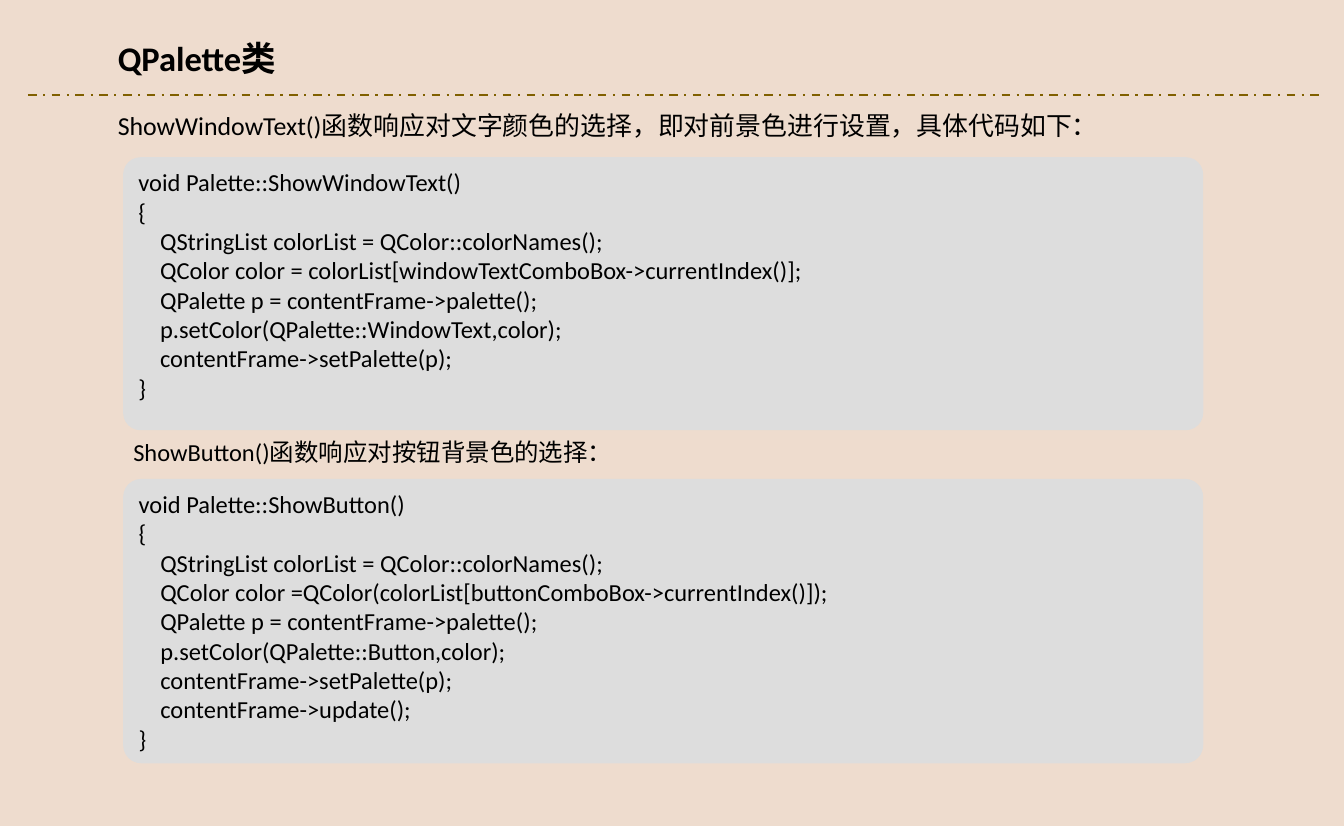
from dataclasses import dataclass

from lxml import etree
from pptx import Presentation
from pptx.dml.color import RGBColor
from pptx.enum.dml import MSO_LINE
from pptx.enum.shapes import MSO_CONNECTOR, MSO_SHAPE
from pptx.enum.text import MSO_ANCHOR, PP_ALIGN
from pptx.oxml.ns import qn
from pptx.slide import Slide
from pptx.text.text import TextFrame
from pptx.util import Inches, Pt

ROUNDED = MSO_SHAPE.ROUNDED_RECTANGLE
STRAIGHT = MSO_CONNECTOR.STRAIGHT
DASH_DOT = MSO_LINE.DASH_DOT
TOP = MSO_ANCHOR.TOP
LEFT = PP_ALIGN.LEFT

FONT = "Calibri"
BLACK = RGBColor(0x00, 0x00, 0x00)
SAND = RGBColor(0xEE, 0xDC, 0xCE)
PANEL_GREY = RGBColor(0xDD, 0xDD, 0xDD)
OLIVE = RGBColor(0x80, 0x60, 0x00)

SLIDE_WIDTH = 12.99
SLIDE_HEIGHT = 575 / 72  # 575 points

CODE_LEFT, CODE_WIDTH = 1.19, 10.44
CODE_INDENT = 0.21
CODE_SIZE = 17
CORNER = 0.064


@dataclass(frozen=True)
class Caption:
    text: str
    left: float
    top: float
    width: float
    height: float
    size: int
    bold: bool = False


@dataclass(frozen=True)
class Function:
    top: float
    height: float
    signature: str
    body: tuple[str, ...]


CAPTIONS = (
    Caption("QPalette类", 1.04, 0.31, 4.64, 0.5, 24, True),
    Caption("ShowWindowText()函数响应对文字颜色的选择，即对前景色进行设置，具体代码如下：",
            1.04, 1.01, 10.86, 0.4, 18),
    Caption("ShowButton()函数响应对按钮背景色的选择：", 1.19, 4.18, 4.87, 0.39, 17),
)

FUNCTIONS = (
    Function(1.52, 2.64, "void Palette::ShowWindowText()", (
        "QStringList colorList = QColor::colorNames();",
        "QColor color = colorList[windowTextComboBox->currentIndex()];",
        "QPalette p = contentFrame->palette();",
        "p.setColor(QPalette::WindowText,color);",
        "contentFrame->setPalette(p);",
    )),
    Function(4.63, 2.75, "void Palette::ShowButton()", (
        "QStringList colorList = QColor::colorNames();",
        "QColor color =QColor(colorList[buttonComboBox->currentIndex()]);",
        "QPalette p = contentFrame->palette();",
        "p.setColor(QPalette::Button,color);",
        "contentFrame->setPalette(p);",
        "contentFrame->update();",
    )),
)


def write_lines(frame: TextFrame, lines: list[tuple[str, float]],
                size: int, bold: bool = False) -> None:
    """Write one paragraph for each (text, indent) pair."""
    frame.word_wrap = True
    frame.vertical_anchor = TOP
    for number, (text, indent) in enumerate(lines):
        paragraph = frame.add_paragraph() if number else frame.paragraphs[0]
        paragraph.alignment = LEFT
        if indent:
            paragraph._p.get_or_add_pPr().set("marL", str(Inches(indent)))
        run = paragraph.add_run()
        run.text = text
        run.font.name = FONT
        run.font.size = Pt(size)
        run.font.bold = bold
        run.font.color.rgb = BLACK


def add_caption(slide: Slide, caption: Caption) -> None:
    box = slide.shapes.add_textbox(Inches(caption.left), Inches(caption.top),
                                   Inches(caption.width), Inches(caption.height))
    write_lines(box.text_frame, [(caption.text, 0)], caption.size, caption.bold)


def add_code_panel(slide: Slide, function: Function) -> None:
    panel = slide.shapes.add_shape(ROUNDED, Inches(CODE_LEFT), Inches(function.top),
                                   Inches(CODE_WIDTH), Inches(function.height))
    panel.adjustments[0] = CORNER
    panel.shadow.inherit = False
    panel.fill.solid()
    panel.fill.fore_color.rgb = PANEL_GREY
    panel.line.fill.background()
    body = [(statement, CODE_INDENT) for statement in function.body]
    write_lines(panel.text_frame,
                [(function.signature, 0), ("{", 0), *body, ("}", 0)], CODE_SIZE)


def add_title_rule(slide: Slide) -> None:
    rule = slide.shapes.add_connector(STRAIGHT, Inches(0.27), Inches(0.92),
                                      Inches(12.79), Inches(0.92))
    rule.line.color.rgb = OLIVE
    rule.line.width = Pt(1.5)
    rule.line.dash_style = DASH_DOT
    etree.SubElement(rule._element.spPr, qn("a:effectLst"))


def main() -> None:
    deck = Presentation()
    deck.slide_width, deck.slide_height = Inches(SLIDE_WIDTH), Inches(SLIDE_HEIGHT)
    slide = deck.slides.add_slide(deck.slide_layouts[6])

    # Background and title rule
    slide.background.fill.solid()
    slide.background.fill.fore_color.rgb = SAND
    add_title_rule(slide)

    # Title and explanations
    for caption in CAPTIONS:
        add_caption(slide, caption)

    # Code listings
    for function in FUNCTIONS:
        add_code_panel(slide, function)

    deck.save("out.pptx")


if __name__ == "__main__":
    main()
